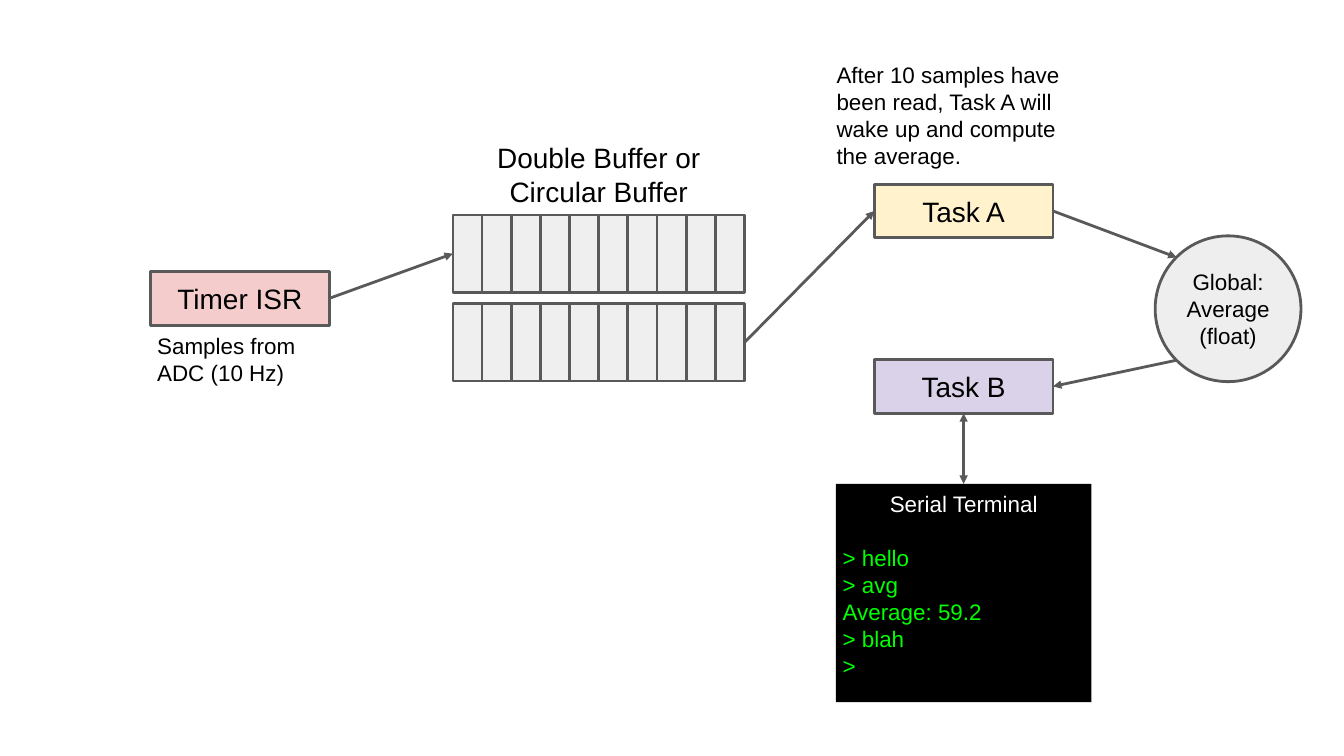
from dataclasses import dataclass

import pptx
import pptx.dml.color
import pptx.enum.shapes
import pptx.enum.text
import pptx.oxml.ns
import pptx.util
from lxml import etree
from pptx.util import Inches

COLORS = {
    "outline": "595959",
    "text": "000000",
    "task_a": "FFF2CC",
    "task_b": "D9D2E9",
    "timer": "F4CCCC",
    "cell": "EFEFEF",
    "global": "EEEEEE",
    "terminal": "000000",
    "terminal_title": "FFFFFF",
    "terminal_text": "00FF00",
}
FONT = "Arial"
LARGE, SMALL = 30, 24
LINE_HEIGHT = 1.2  # line pitch as a multiple of the text size
LINE_WIDTH = 3

SHAPES = pptx.enum.shapes.MSO_SHAPE
ALIGN = pptx.enum.text.PP_ALIGN
ANCHOR = pptx.enum.text.MSO_ANCHOR
TOP, LEFT, BOTTOM, RIGHT = range(4)

BUFFER_LEFT, CELL_COUNT = 6.74, 10
CELL_WIDTH, CELL_HEIGHT = 0.434, 1.15
BUFFER_TOPS = (3.2, 4.52)


@dataclass
class Box:
    left: float
    top: float
    width: float
    height: float
    fill: str
    text: str = ""
    size: int = LARGE
    preset: SHAPES = SHAPES.RECTANGLE
    outlined: bool = True


@dataclass
class Note:
    left: float
    top: float
    width: float
    height: float
    text: str
    size: int
    align: ALIGN = ALIGN.LEFT


def rgb(name: str) -> pptx.dml.color.RGBColor:
    return pptx.dml.color.RGBColor.from_string(COLORS[name])


def style_paragraph(paragraph, size: int, color: str, align: ALIGN) -> None:
    paragraph.alignment = align
    paragraph.line_spacing = pptx.util.Pt(size * LINE_HEIGHT)
    for run in paragraph.runs:
        run.font.name = FONT
        run.font.size = pptx.util.Pt(size)
        run.font.color.rgb = rgb(color)


def write_text(frame, text: str, size: int, align: ALIGN, anchor: ANCHOR) -> None:
    frame.word_wrap = True
    frame.vertical_anchor = anchor
    frame.margin_left = frame.margin_right = Inches(0.1)
    frame.margin_top = frame.margin_bottom = Inches(0.1)
    frame.text = text
    for paragraph in frame.paragraphs:
        style_paragraph(paragraph, size, "text", align)


def draw_box(slide, box: Box):
    shape = slide.shapes.add_shape(
        box.preset, Inches(box.left), Inches(box.top), Inches(box.width), Inches(box.height)
    )
    shape.shadow.inherit = False
    shape.fill.solid()
    shape.fill.fore_color.rgb = rgb(box.fill)
    if box.outlined:
        shape.line.color.rgb = rgb("outline")
        shape.line.width = pptx.util.Pt(LINE_WIDTH)
    else:
        shape.line.fill.background()
    if box.text:
        write_text(shape.text_frame, box.text, box.size, ALIGN.CENTER, ANCHOR.MIDDLE)
    return shape


def draw_note(slide, note: Note) -> None:
    label = slide.shapes.add_textbox(
        Inches(note.left), Inches(note.top), Inches(note.width), Inches(note.height)
    )
    write_text(label.text_frame, note.text, note.size, note.align, ANCHOR.TOP)


def draw_arrow(slide, start, end, both_ends: bool = False) -> None:
    """Each end is either a (shape, side) pair or an (x, y) point in inches."""
    is_point = [isinstance(target[0], float) for target in (start, end)]
    x1, y1 = start if is_point[0] else (0, 0)
    x2, y2 = end if is_point[1] else (0, 0)
    arrow = slide.shapes.add_connector(
        pptx.enum.shapes.MSO_CONNECTOR.STRAIGHT, Inches(x1), Inches(y1), Inches(x2), Inches(y2)
    )
    if not is_point[0]:
        arrow.begin_connect(*start)
    if not is_point[1]:
        arrow.end_connect(*end)
    arrow.line.color.rgb = rgb("outline")
    arrow.line.width = pptx.util.Pt(LINE_WIDTH)
    line = arrow.line._get_or_add_ln()
    for tag in ("a:headEnd", "a:tailEnd") if both_ends else ("a:tailEnd",):
        etree.SubElement(line, pptx.oxml.ns.qn(tag), type="triangle")
    etree.SubElement(arrow._element.spPr, pptx.oxml.ns.qn("a:effectLst"))


def draw_buffer(slide, top: float) -> list:
    return [
        draw_box(slide, Box(BUFFER_LEFT + i * CELL_WIDTH, top, CELL_WIDTH, CELL_HEIGHT, "cell"))
        for i in range(CELL_COUNT)
    ]


def draw_terminal(slide):
    terminal = draw_box(slide, Box(12.44, 7.2, 3.8, 3.25, "terminal", outlined=False))
    frame = terminal.text_frame
    session = ["Serial Terminal", "> hello", "> avg", "Average: 59.2", "> blah", ">"]
    write_text(frame, "\n".join(session), SMALL, ALIGN.LEFT, ANCHOR.TOP)
    title, *lines = frame.paragraphs
    style_paragraph(title, SMALL, "terminal_title", ALIGN.CENTER)
    for line in lines:
        style_paragraph(line, SMALL, "terminal_text", ALIGN.LEFT)
    lines[0].space_before = pptx.util.Pt(SMALL * LINE_HEIGHT)
    return terminal


def main() -> None:
    deck = pptx.Presentation()
    deck.slide_width, deck.slide_height = Inches(20), Inches(11.25)
    slide = deck.slides.add_slide(deck.slide_layouts[6])

    # Interrupt, tasks and shared value
    task_a = draw_box(slide, Box(13.01, 2.74, 2.66, 0.8, "task_a", "Task A"))
    task_b = draw_box(slide, Box(13.01, 5.35, 2.66, 0.8, "task_b", "Task B"))
    timer = draw_box(slide, Box(2.24, 4.04, 2.66, 0.8, "timer", "Timer ISR"))
    draw_box(slide, Box(17.19, 3.51, 2.17, 2.17, "global", "Global:\nAverage (float)",
                        SMALL, SHAPES.OVAL))

    # Sample buffers and terminal
    write_buffer, read_buffer = [draw_buffer(slide, top) for top in BUFFER_TOPS]
    terminal = draw_terminal(slide)

    # Data flow
    draw_arrow(slide, (timer, RIGHT), (write_buffer[0], LEFT))
    draw_arrow(slide, (read_buffer[-1], RIGHT), (task_a, LEFT))
    draw_arrow(slide, (task_a, RIGHT), (17.51, 3.83))
    draw_arrow(slide, (17.51, 5.36), (task_b, RIGHT))
    draw_arrow(slide, (task_b, BOTTOM), (terminal, TOP), both_ends=True)

    # Labels
    for note in (
        Note(6.74, 1.99, 4.34, 1.21, "Double Buffer or Circular Buffer", LARGE, ALIGN.CENTER),
        Note(2.24, 4.84, 2.66, 1.01, "Samples from ADC (10 Hz)", SMALL),
        Note(12.35, 0.81, 3.98, 1.82, "After 10 samples have been read, Task A will "
             "wake up and compute the average.", SMALL),
    ):
        draw_note(slide, note)

    deck.save("out.pptx")


if __name__ == "__main__":
    main()
